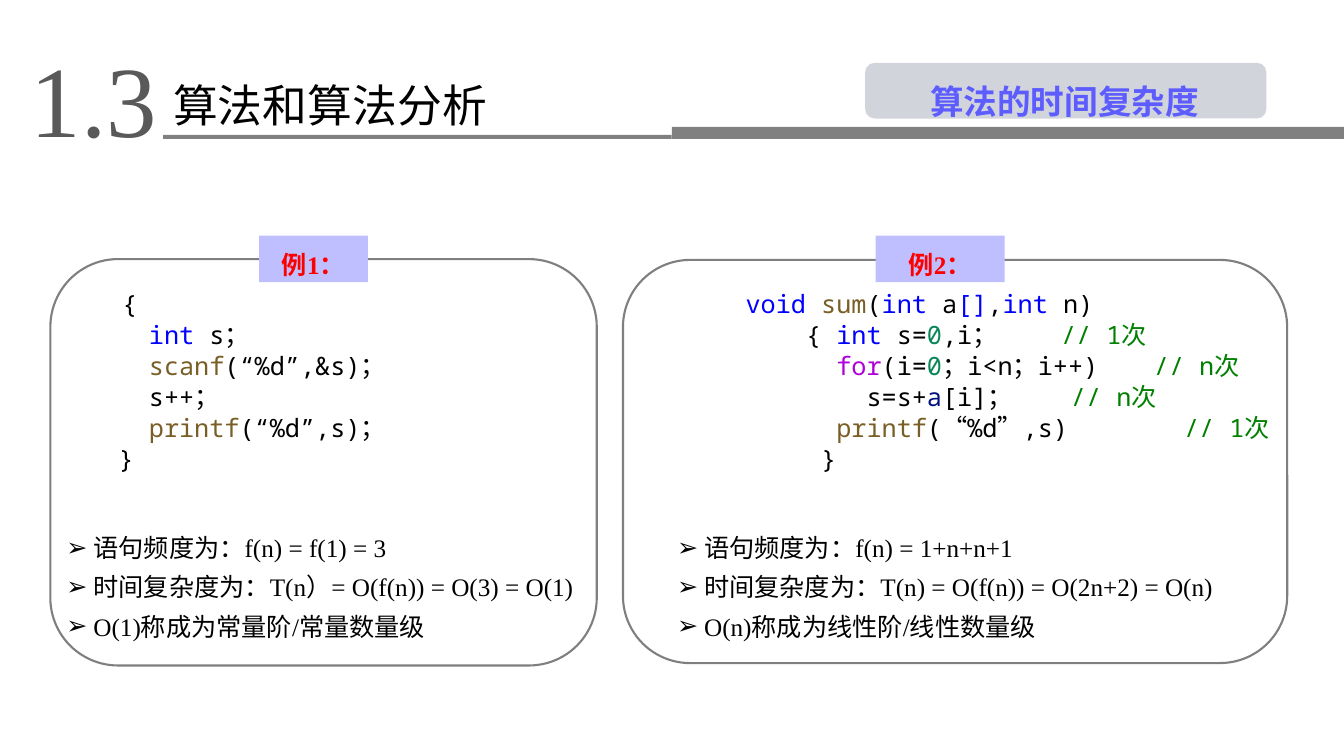
from dataclasses import dataclass

from lxml import etree
from pptx import Presentation
from pptx import util as u
from pptx.dml.color import RGBColor
from pptx.enum import shapes, text
from pptx.oxml.ns import qn


@dataclass(frozen=True)
class Theme:
    serif: str = "Times New Roman"
    mono: str = "Noto Sans Mono"
    number_size: int = 72
    title_size: int = 32
    badge_size: int = 24
    body_size: int = 18
    ink: str = "000000"
    number: str = "595959"
    bar: str = "808080"
    panel: str = "FFFFFF"
    outline: str = "7F7F7F"
    tag: str = "BFBFFF"
    tag_text: str = "FF0000"
    badge: str = "D1D4DB"
    badge_text: str = "5C5CFF"
    keyword: str = "0000FF"
    function: str = "795E26"
    digit: str = "098658"
    control: str = "AF00DB"
    variable: str = "001080"
    comment: str = "008000"


THEME = Theme()
LEFT, CENTER = text.PP_ALIGN.LEFT, text.PP_ALIGN.CENTER


def add_text(para, words, font=THEME.serif, size=THEME.body_size, color=THEME.ink,
             bold=False, align=LEFT, spacing=None, before=0):
    para.alignment = align
    para.space_before = u.Pt(before)
    if spacing:
        para.line_spacing = spacing
    span = para.add_run()
    span.text = words
    span.font.name = font
    span.font.size = u.Pt(size)
    span.font.bold = bold
    span.font.color.rgb = RGBColor.from_string(color)


class SlideBuilder:
    def __init__(self, theme, page):
        self.theme = theme
        self.page = page

    def frame(self, box, anchor=text.MSO_ANCHOR.TOP):
        frame = box.text_frame
        frame.word_wrap = True
        frame.auto_size = text.MSO_AUTO_SIZE.NONE
        frame.vertical_anchor = anchor
        return frame

    def shape(self, kind, place, fill, line=None, width=1):
        box = self.page.shapes.add_shape(kind, *map(u.Cm, place))
        box.shadow.inherit = False
        box.fill.solid()
        box.fill.fore_color.rgb = RGBColor.from_string(fill)
        if line:
            box.line.color.rgb = RGBColor.from_string(line)
            box.line.width = u.Pt(width)
        else:
            box.line.fill.background()
        return box

    def label(self, place, words, **style):
        box = self.page.shapes.add_textbox(*map(u.Cm, place))
        add_text(self.frame(box).paragraphs[0], words, **style)

    def placeholder(self, index, place):
        box = self.page.placeholders[index]
        box.left, box.top, box.width, box.height = map(u.Cm, place)
        box.element.getparent().append(box.element)
        return self.frame(box)

    def title(self, place, words):
        add_text(self.placeholder(0, place).paragraphs[0], words, size=self.theme.title_size)

    def example(self, panel, tag, words):
        self.shape(shapes.MSO_SHAPE.ROUNDED_RECTANGLE, panel, self.theme.panel,
                   self.theme.outline, 1.5)
        box = self.shape(shapes.MSO_SHAPE.RECTANGLE, tag, self.theme.tag)
        add_text(self.frame(box).paragraphs[0], words, color=self.theme.tag_text,
                 bold=True, align=CENTER, spacing=1.3)

    def code(self, place, lines):
        box = self.page.shapes.add_textbox(*map(u.Cm, place))
        frame = self.frame(box)
        for number, (tab, spans) in enumerate(lines):
            para = frame.add_paragraph() if number else frame.paragraphs[0]
            if tab:
                tabs = etree.SubElement(para._p.get_or_add_pPr(), qn("a:tabLst"))
                etree.SubElement(tabs, qn("a:tab"), pos=str(u.Cm(tab)), algn="l")
            for words, role in spans:
                font = self.theme.serif if role == "indent" else self.theme.mono
                color = getattr(self.theme, role, self.theme.ink)
                add_text(para, words, font=font, color=color, before=0.6 if number else 0)

    def bullets(self, index, place, items):
        frame = self.placeholder(index, place)
        for number, words in enumerate(items):
            para = frame.add_paragraph() if number else frame.paragraphs[0]
            props = para._p.get_or_add_pPr()
            props.set("marL", str(u.Cm(0.68)))
            props.set("indent", str(u.Cm(-0.68)))
            etree.SubElement(props, qn("a:buChar"), char="➢")
            add_text(para, words, spacing=1.3)


CONSTANT_CODE = [
    (None, [("   ", "indent"), ("{", "ink")]),
    (None, [("   ", "ink"), ("int", "keyword"), (" s；", "ink")]),
    (None, [("   ", "ink"), ("scanf", "function"), ("(“%d”,&s)；", "ink")]),
    (None, [("   s++；", "ink")]),
    (None, [("   ", "ink"), ("printf", "function"), ("(“%d”,s)；", "ink")]),
    (None, [(" }", "ink")]),
]
LINEAR_CODE = [
    (None, [("void ", "keyword"), ("sum", "function"), ("(", "ink"), ("int", "keyword"),
            (" a", "ink"), ("[]", "keyword"), (",", "ink"), ("int", "keyword"), (" n)", "ink")]),
    (7.95, [("    { ", "ink"), ("int", "keyword"), (" s=", "ink"), ("0", "digit"),
            (",i；\t", "ink"), ("// 1次", "comment")]),
    (10.29, [("      ", "ink"), ("for", "control"), ("(i=", "ink"), ("0", "digit"),
             ("；i<n；i++)\t", "ink"), ("// n次", "comment")]),
    (8.2, [("        s=s+", "ink"), ("a", "variable"), ("[i]；\t", "ink"),
           ("// n次", "comment")]),
    (11.05, [("      ", "ink"), ("printf", "function"), ("(“%d”,s)\t", "ink"),
             ("// 1次", "comment")]),
    (None, [("     }", "ink")]),
]


def main():
    deck = Presentation()
    deck.slide_width, deck.slide_height = u.Cm(33.87), u.Cm(19.05)
    page = deck.slides.add_slide(deck.slide_layouts[3])
    build = SlideBuilder(THEME, page)

    build.label((0.1, 0.79, 4.52, 3.33), "1.3", size=THEME.number_size,
                color=THEME.number, align=CENTER)
    for place in ((16.93, 3.2, 16.94, 0.3), (4.11, 3.4, 12.82, 0.1)):
        build.shape(shapes.MSO_SHAPE.RECTANGLE, place, THEME.bar)
    build.title((4.11, 1.83, 11.15, 1.63), "算法和算法分析")

    build.example((1.27, 6.53, 13.77, 10.24), (6.53, 5.94, 2.74, 1.17), "例1：")
    build.example((15.7, 6.55, 16.74, 10.16), (22.07, 5.94, 3.25, 1.17), "例2：")
    build.code((18.54, 7.14, 15.3, 7.34), LINEAR_CODE)
    build.code((2.36, 7.14, 11.58, 7.34), CONSTANT_CODE)
    build.bullets(1, (1.42, 13.06, 14.33, 3.15), [
        "语句频度为：f(n) = f(1) = 3",
        "时间复杂度为：T(n）= O(f(n)) = O(3) = O(1)",
        "O(1)称成为常量阶/常量数量级",
    ])
    build.bullets(2, (16.81, 13.06, 17.05, 3.15), [
        "语句频度为：f(n) = 1+n+n+1",
        "时间复杂度为：T(n) = O(f(n)) = O(2n+2) = O(n)",
        "O(n)称成为线性阶/线性数量级",
    ])

    build.shape(shapes.MSO_SHAPE.ROUNDED_RECTANGLE, (21.82, 1.6, 10.08, 1.37),
                THEME.badge, THEME.badge)
    build.label((22.06, 1.6, 9.53, 1.45), "算法的时间复杂度", size=THEME.badge_size,
                color=THEME.badge_text, bold=True, align=CENTER, spacing=1.3)
    deck.save("out.pptx")


if __name__ == "__main__":
    main()
